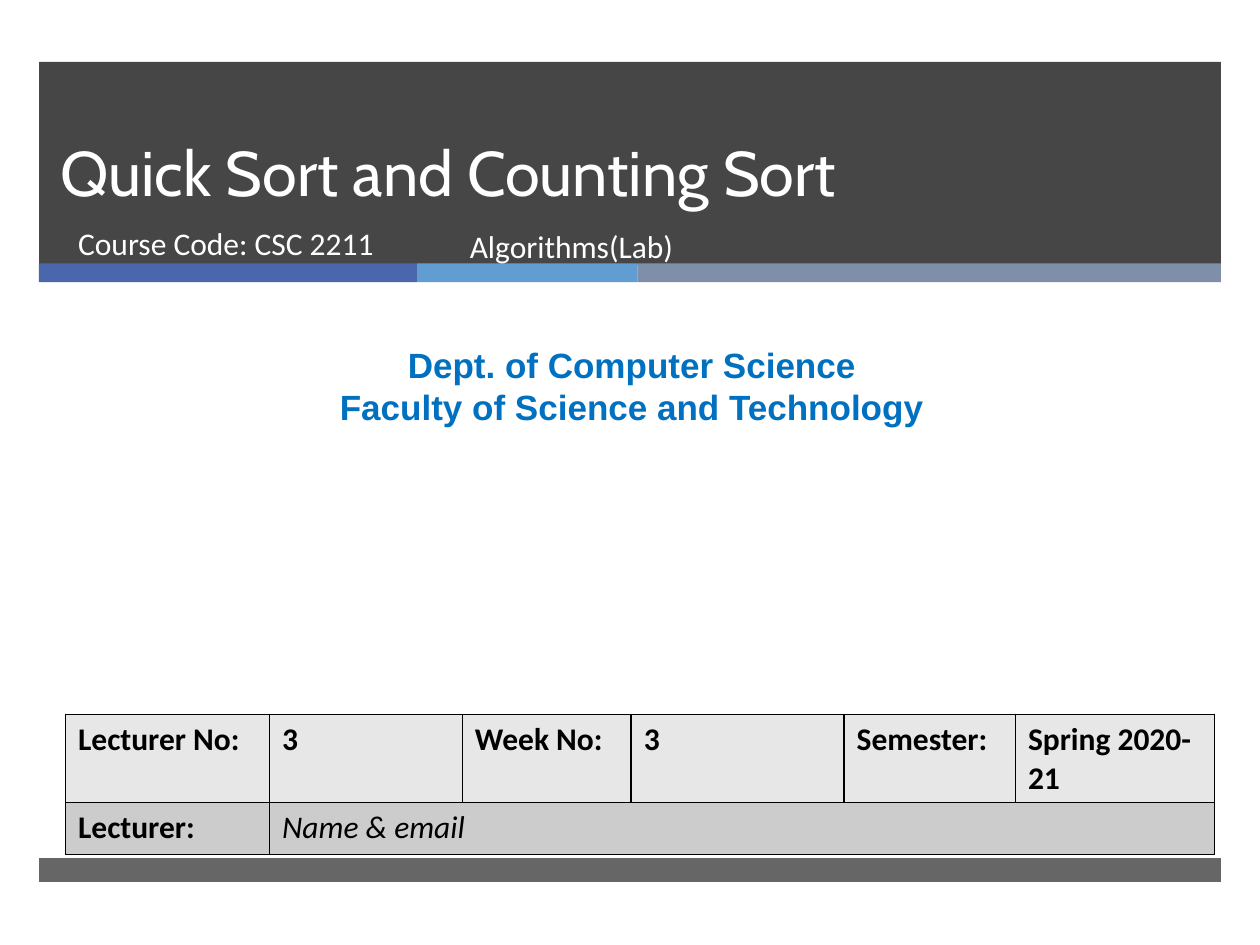
"""Build the title slide of a sorting lecture."""
from dataclasses import dataclass
from itertools import accumulate
from typing import Any

from lxml import etree
from pptx import Presentation
from pptx.dml.color import RGBColor
from pptx.enum.shapes import MSO_SHAPE
from pptx.enum.text import MSO_ANCHOR, PP_ALIGN
from pptx.oxml.ns import qn
from pptx.util import Inches, Pt

RECTANGLE = MSO_SHAPE.RECTANGLE
TOP, BOTTOM = MSO_ANCHOR.TOP, MSO_ANCHOR.BOTTOM
LEFT, CENTER = PP_ALIGN.LEFT, PP_ALIGN.CENTER


@dataclass(frozen=True)
class Theme:
    """Colours, fonts and type sizes of the slide."""
    dark: str = "262626"
    white: str = "FFFFFF"
    black: str = "000000"
    heading: str = "0070C0"
    accents: tuple[str, ...] = ("4A66AC", "629DD1", "7F8FA9")
    rows: tuple[str, ...] = ("E7E7E7", "CCCCCC")
    title_font: str = "Cabin"
    body_font: str = "Calibri"
    heading_font: str = "Arial"
    title_size: int = 36
    heading_size: int = 20
    body_size: int = 18


@dataclass(frozen=True)
class Frame:
    """Place and size in inches."""
    left: float
    top: float
    width: float
    height: float


@dataclass(frozen=True)
class Band:
    """Coloured strip across the page."""
    frame: Frame
    color: str
    opacity: int = 100


@dataclass(frozen=True)
class Style:
    """Look of a run of text."""
    font: str
    size: int
    color: str
    bold: bool = False
    italic: bool = False


THEME = Theme()
TITLE = Style(THEME.title_font, THEME.title_size, THEME.white)
COURSE = Style(THEME.body_font, THEME.body_size, THEME.white)
HEADING = Style(THEME.heading_font, THEME.heading_size, THEME.heading, bold=True)
LABEL = Style(THEME.body_font, THEME.body_size, THEME.black, bold=True)
ENTRY = Style(THEME.body_font, THEME.body_size, THEME.black, italic=True)

MARGIN, BAND_WIDTH = 0.31, 9.38
ACCENT_WIDTHS = (3, 1.75, 4.63)
ACCENT_LEFTS = accumulate(ACCENT_WIDTHS[:-1], initial=MARGIN)
BANDS = (
    Band(Frame(MARGIN, 0.49, BAND_WIDTH, 1.61), THEME.dark, 85),
    *(Band(Frame(left, 2.09, width, 0.15), color)
      for left, width, color in zip(ACCENT_LEFTS, ACCENT_WIDTHS, THEME.accents)),
    Band(Frame(MARGIN, 6.81, BAND_WIDTH, 0.19), THEME.dark, 70),
)
COLUMNS = (1.62, 1.53, 1.34, 1.69, 1.36, 1.58)
ROWS = (0.7, 0.41)
ENTRIES = (
    ("Lecturer No:", "3", "Week No:", "3", "Semester:", "Spring 2020-21"),
    ("Lecturer:", "Name & email"),
)


def place(frame: Frame) -> tuple[int, ...]:
    """Return the frame as slide lengths."""
    return tuple(Inches(n) for n in (frame.left, frame.top, frame.width, frame.height))


def assign(target: Any, values: dict[str, Any]) -> None:
    """Set attributes from a dict."""
    for name, value in values.items():
        setattr(target, name, value)


def write(text_frame: Any, lines: tuple[str, ...], style: Style, **layout: Any) -> None:
    """Fill a text frame with one paragraph per line."""
    text_frame.text = "\n".join(lines)
    for para in text_frame.paragraphs:
        assign(para, {"alignment": LEFT, "space_before": Pt(0), **layout})
        for span in para.runs:
            assign(span.font, {"name": style.font, "size": Pt(style.size),
                               "bold": style.bold, "italic": style.italic})
            span.font.color.rgb = RGBColor.from_string(style.color)


def fill_placeholder(box: Any, frame: Frame, anchor: Any, text: str,
                     style: Style, **layout: Any) -> None:
    """Move a placeholder and write its text."""
    assign(box, dict(zip(("left", "top", "width", "height"), place(frame))))
    box.text_frame.vertical_anchor = anchor
    write(box.text_frame, (text,), style, **layout)


def add_text(page: Any, frame: Frame, lines: tuple[str, ...], style: Style,
             **layout: Any) -> None:
    """Add a wrapping text box."""
    box = page.shapes.add_textbox(*place(frame))
    box.text_frame.word_wrap = True
    write(box.text_frame, lines, style, **layout)


def add_band(page: Any, band: Band, depth: int) -> None:
    """Add a strip behind the placeholders."""
    box = page.shapes.add_shape(RECTANGLE, *place(band.frame))
    box.shadow.inherit = False
    box.line.fill.background()
    box.fill.solid()
    box.fill.fore_color.rgb = RGBColor.from_string(band.color)
    if band.opacity < 100:
        color = box.element.spPr.find(f"{qn('a:solidFill')}/{qn('a:srgbClr')}")
        etree.SubElement(color, qn("a:alpha"), val=str(band.opacity * 1000))
    page.shapes.element.insert(depth, box.element)


def add_borders(cell: Any, color: str) -> None:
    """Draw a one point line on each side of a cell."""
    properties = cell._tc.get_or_add_tcPr()
    for index, side in enumerate(("lnL", "lnR", "lnT", "lnB")):
        line = etree.Element(qn(f"a:{side}"), w=str(Pt(1)))
        fill = etree.SubElement(line, qn("a:solidFill"))
        etree.SubElement(fill, qn("a:srgbClr"), val=color)
        properties.insert(index, line)


def add_details(page: Any, left: float, top: float) -> None:
    """Add the table of lecture details."""
    frame = Frame(left, top, sum(COLUMNS), sum(ROWS))
    table = page.shapes.add_table(len(ROWS), len(COLUMNS), *place(frame)).table
    for column, width in zip(table.columns, COLUMNS):
        column.width = Inches(width)
    for row, height, color, texts in zip(table.rows, ROWS, THEME.rows, ENTRIES):
        row.height = Inches(height)
        for cell in row.cells:
            cell.fill.solid()
            cell.fill.fore_color.rgb = RGBColor.from_string(color)
            add_borders(cell, THEME.black)
        for cell, text in zip(row.cells, texts):
            style = ENTRY if text == ENTRIES[1][1] else LABEL
            write(cell.text_frame, (text,), style)
    table.cell(1, 1).merge(table.cell(1, len(COLUMNS) - 1))


def main() -> None:
    """Build and save the deck."""
    deck = Presentation()
    assign(deck, {"slide_width": Inches(10), "slide_height": Inches(7.5)})
    page = deck.slides.add_slide(deck.slide_layouts[0])
    for depth, band in enumerate(BANDS, start=2):
        add_band(page, band, depth)
    fill_placeholder(page.shapes.title, Frame(0.38, 0.52, 8.81, 1.19), BOTTOM,
                     "Quick Sort and Counting Sort", TITLE, line_spacing=Pt(46))
    fill_placeholder(page.placeholders[1], Frame(0.52, 1.73, 3.05, 0.53), TOP,
                     "Course Code: CSC 2211", COURSE)
    add_text(page, Frame(0.08, 2.68, 9.87, 0.77),
             ("Dept. of Computer Science", "Faculty of Science and Technology"),
             HEADING, alignment=CENTER)
    add_details(page, 0.52, 5.67)
    add_text(page, Frame(3.63, 1.75, 4.55, 0.53), ("Algorithms(Lab)",), COURSE)
    deck.save("out.pptx")


main()
